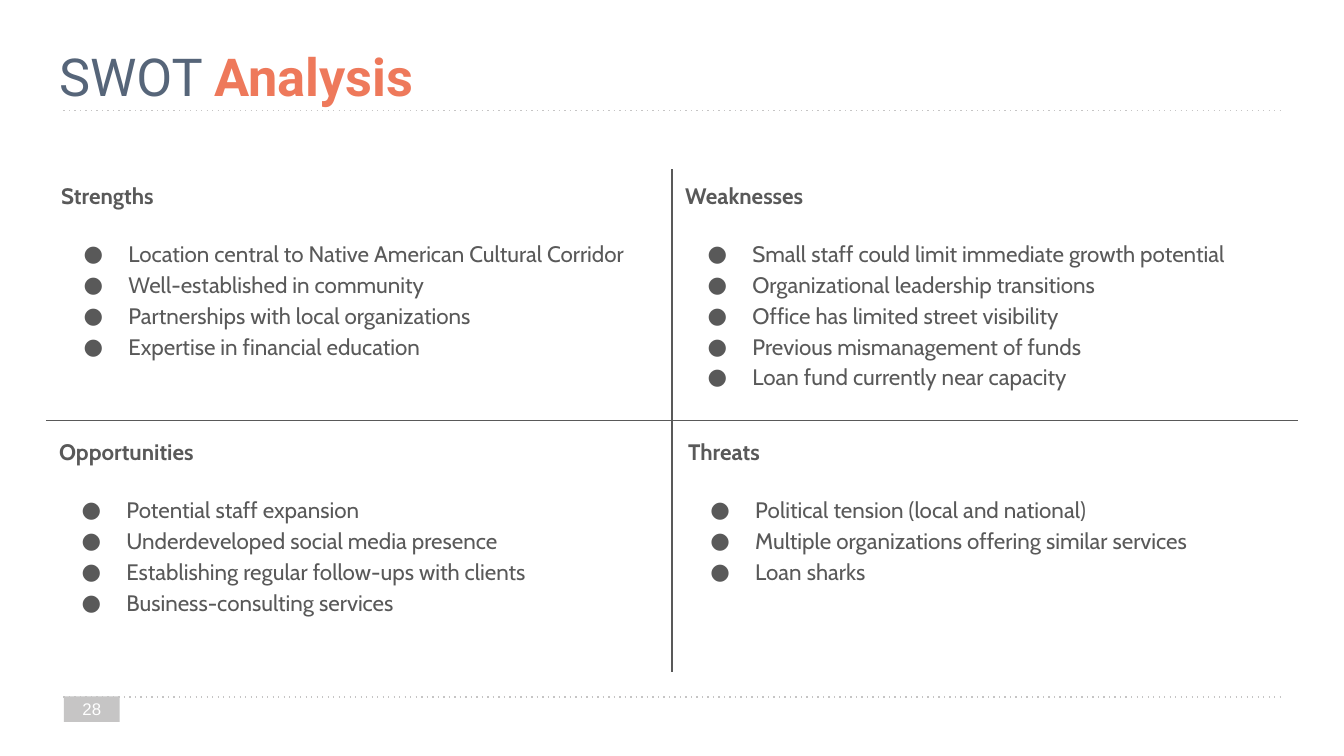
import pptx
import pptx.dml.color
import pptx.enum.shapes
import pptx.enum.text
import pptx.oxml.ns
import pptx.util
from lxml import etree

Pt = pptx.util.Pt
qn = pptx.oxml.ns.qn
RGBColor = pptx.dml.color.RGBColor

SLATE = RGBColor(0x56, 0x65, 0x79)
CORAL = RGBColor(0xEE, 0x79, 0x5B)
GREY = RGBColor(0x59, 0x59, 0x59)
SILVER = RGBColor(0xC6, 0xC5, 0xC5)
WHITE = RGBColor(0xFF, 0xFF, 0xFF)


class SwotSlide:
    title_font, body_font, number_font = "Roboto", "Cabin", "Arial"
    title_size, body_size, number_size = 28, 12, 9
    inset = 7.2
    line_width = 0.75

    def __init__(self, slide):
        self.slide = slide

    def style(self, font, name, size, color, bold=False):
        font.name, font.size, font.bold = name, Pt(size), bold
        font.color.rgb = color

    def prepare(self, frame):
        frame.word_wrap = True
        frame.margin_left = frame.margin_right = Pt(self.inset)
        frame.margin_top = frame.margin_bottom = Pt(self.inset)
        return frame

    def text_box(self, left, top, width, height):
        box = self.slide.shapes.add_textbox(Pt(left), Pt(top), Pt(width), Pt(height))
        return self.prepare(box.text_frame)

    def line(self, x1, y1, x2, y2, color, dotted=False):
        rule = self.slide.shapes.add_connector(
            pptx.enum.shapes.MSO_CONNECTOR.STRAIGHT, Pt(x1), Pt(y1), Pt(x2), Pt(y2))
        rule.line.color.rgb = color
        rule.line.width = Pt(self.line_width)
        properties = rule._element.spPr
        if dotted:
            etree.SubElement(properties.find(qn("a:ln")), qn("a:prstDash"), val="dot")
        etree.SubElement(properties, qn("a:effectLst"))

    def title(self, left, top, width, height, parts):
        paragraph = self.text_box(left, top, width, height).paragraphs[0]
        for words, color, bold in parts:
            run = paragraph.add_run()
            run.text = words
            self.style(run.font, self.title_font, self.title_size, color, bold)

    def page_number(self, left, top, width, height, number):
        tab = self.slide.shapes.add_shape(
            pptx.enum.shapes.MSO_SHAPE.RECTANGLE, Pt(left), Pt(top), Pt(width), Pt(height))
        tab.shadow.inherit = False
        tab.fill.solid()
        tab.fill.fore_color.rgb = SILVER
        tab.line.fill.background()
        frame = self.prepare(tab.text_frame)
        frame.vertical_anchor = pptx.enum.text.MSO_ANCHOR.MIDDLE
        frame.text = number
        label = frame.paragraphs[0]
        label.alignment = pptx.enum.text.PP_ALIGN.CENTER
        self.style(label.runs[0].font, self.number_font, self.number_size, WHITE)

    def bullet(self, paragraph):
        properties = paragraph._p.get_or_add_pPr()
        properties.set("marL", str(Pt(36)))
        properties.set("indent", str(Pt(-24)))
        color = etree.SubElement(properties, qn("a:buClr"))
        etree.SubElement(color, qn("a:srgbClr"), val=str(GREY))
        etree.SubElement(properties, qn("a:buFont"), typeface=self.body_font)
        etree.SubElement(properties, qn("a:buChar"), char="●")
        paragraph.line_spacing = 1.15

    def quadrant(self, left, top, width, height, heading, points):
        frame = self.text_box(left, top, width, height)
        frame.text = "\n".join([heading, *points])
        for index, paragraph in enumerate(frame.paragraphs):
            if index == 0:
                paragraph.space_after = Pt(14.6)
            else:
                self.bullet(paragraph)
            self.style(paragraph.runs[0].font, self.body_font, self.body_size,
                       GREY, bold=index == 0)


def main():
    presentation = pptx.Presentation()
    presentation.slide_width, presentation.slide_height = Pt(720), Pt(405)
    swot = SwotSlide(presentation.slides.add_slide(presentation.slide_layouts[6]))

    # Header and footer
    for y in (373.5, 59.2):
        swot.line(34, y, 686, y, SILVER, dotted=True)
    swot.page_number(34.2, 373, 30, 13.8, "28")
    swot.title(24.6, 16.6, 671, 36.8,
               [("SWOT ", SLATE, False), ("Analysis", CORAL, True)])

    # Cross between the quadrants
    swot.line(360, 90.6, 360, 360, GREY)
    swot.line(24.6, 225.3, 695.4, 225.3, GREY)

    # Quadrants: left, top, heading, points
    quadrants = [
        (25.7, 90.2, "Strengths", [
            "Location central to Native American Cultural Corridor",
            "Well-established in community",
            "Partnerships with local organizations",
            "Expertise in financial education"]),
        (360, 90.2, "Weaknesses", [
            "Small staff could limit immediate growth potential",
            "Organizational leadership transitions",
            "Office has limited street visibility",
            "Previous mismanagement of funds",
            "Loan fund currently near capacity"]),
        (24.6, 227.4, "Opportunities", [
            "Potential staff expansion",
            "Underdeveloped social media presence",
            "Establishing regular follow-ups with clients",
            "Business-consulting services"]),
        (361.5, 227.4, "Threats", [
            "Political tension (local and national)",
            "Multiple organizations offering similar services",
            "Loan sharks"]),
    ]
    for left, top, heading, points in quadrants:
        swot.quadrant(left, top, 334, 135.4, heading, points)

    presentation.save("out.pptx")


if __name__ == "__main__":
    main()
